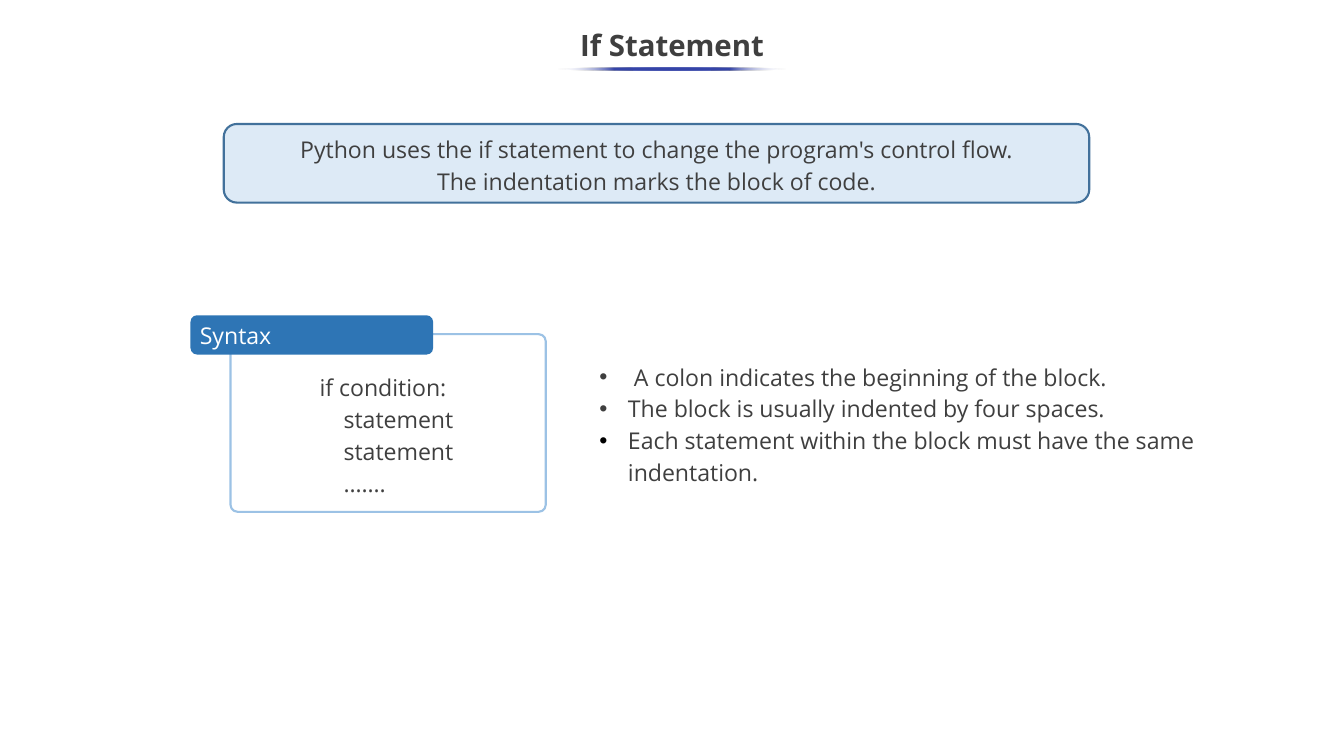
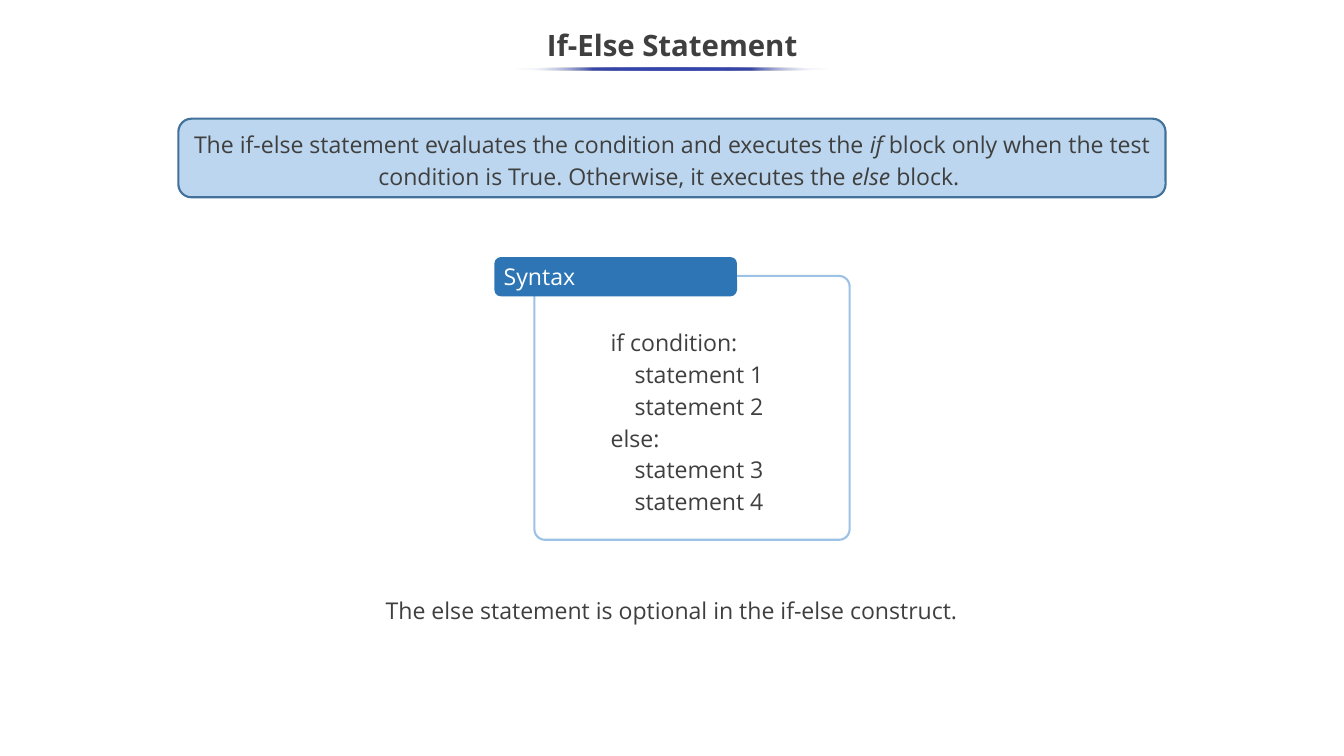
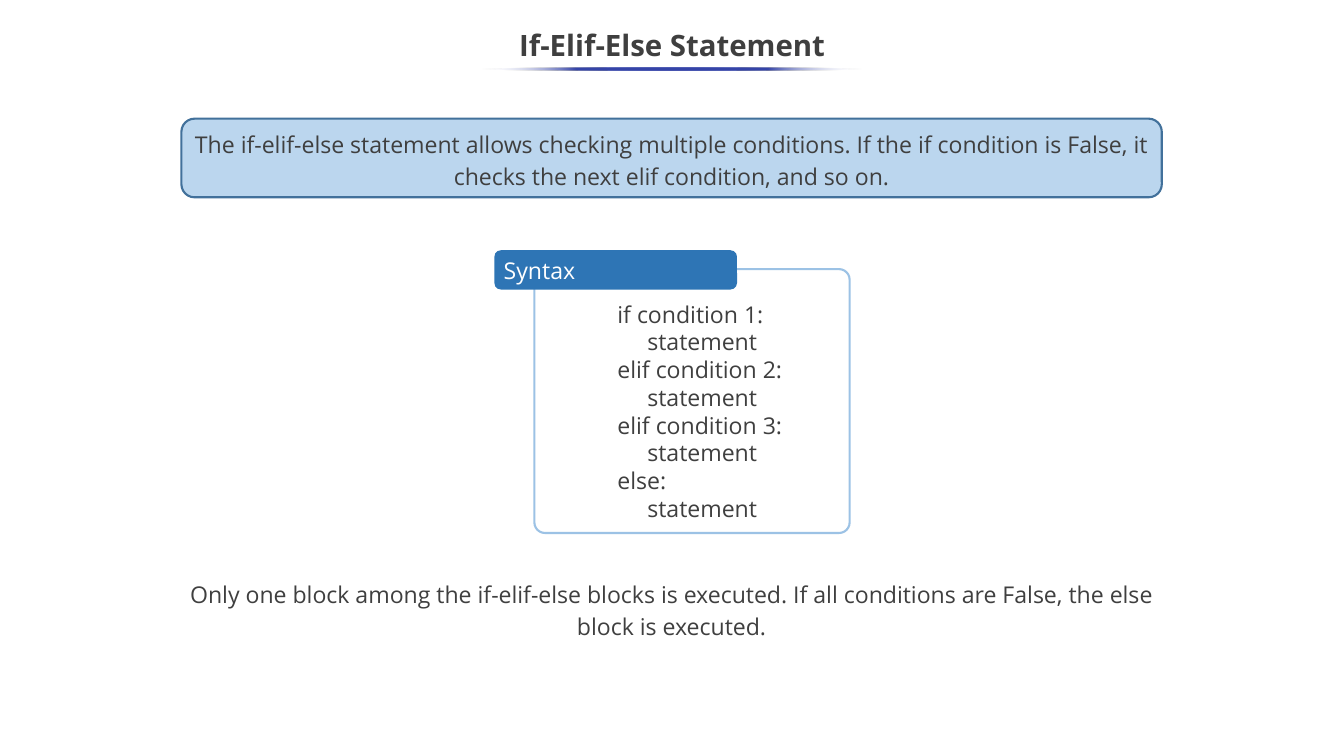
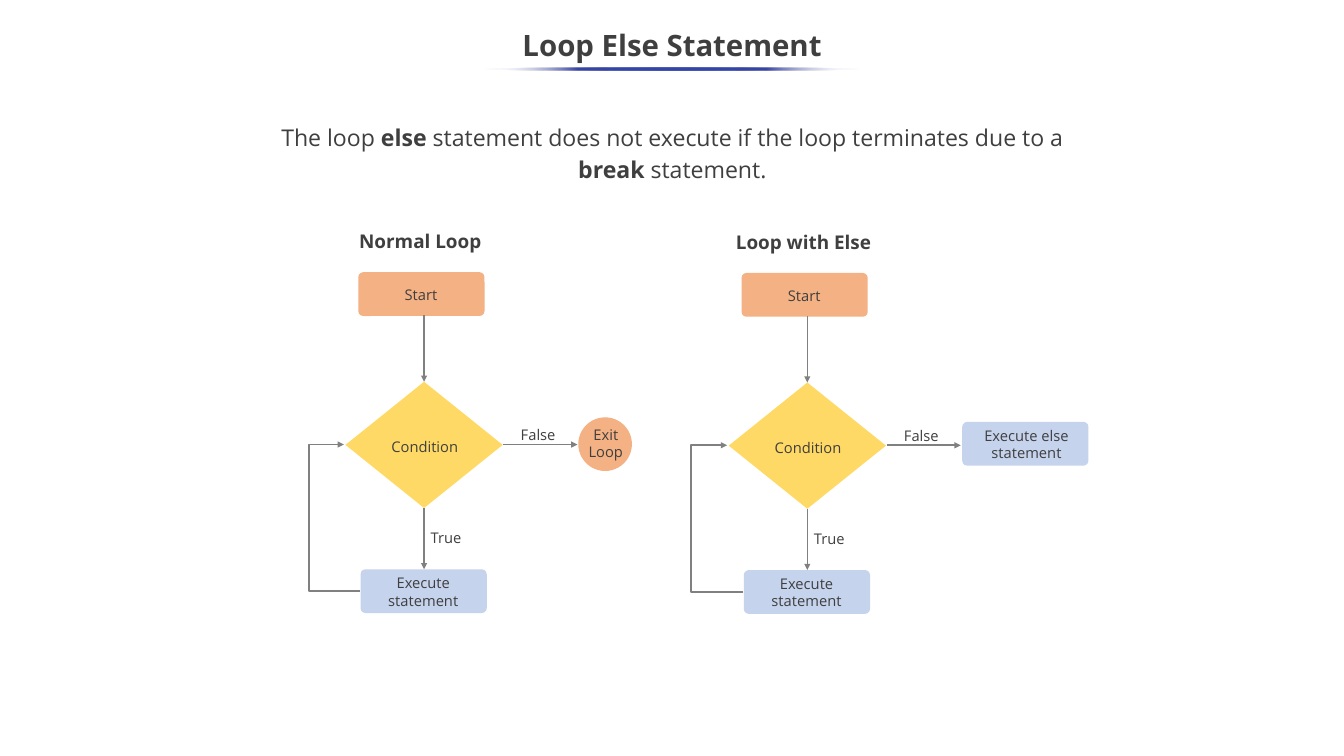
from pptx import Presentation, oxml
from pptx.dml.color import RGBColor as Rgb
from pptx.enum import shapes, text
from pptx.oxml import ns
from pptx.util import Inches, Pt

FONT = "Open Sans"
HUE = {"ink": "3F3F3F", "white": "FFFFFF", "black": "000000", "pale": "DDEAF6",
       "sky": "BBD6EE", "edge": "42719B", "frame": "9CC2E5", "tab": "2E75B5",
       "rule": "3645A9", "gold": "FFD966", "peach": "F4B183", "mist": "C5D3ED",
       "gray": "808080"}
WIDE, HIGH = 17.78, 10
ROUND = shapes.MSO_SHAPE.ROUNDED_RECTANGLE
OVAL = shapes.MSO_SHAPE.OVAL
DIAMOND = shapes.MSO_SHAPE.DIAMOND
STRAIGHT = shapes.MSO_CONNECTOR.STRAIGHT
ELBOW = shapes.MSO_CONNECTOR.ELBOW
MID = text.PP_ALIGN.CENTER
LEFT = text.PP_ALIGN.LEFT
EVEN = text.PP_ALIGN.JUSTIFY


def draw(slide, kind, box, lines=(), fill=None, edge=None, bend=None, size=22,
         hue="ink", bold=None, align=MID, space=None, dots=()):
    """Add a shape, or a text box if kind is None.

    A line is a string or a list of runs; a run is a string or (string, "b" or "i").
    dots holds one bullet colour per line.
    """
    place = [Inches(v) for v in box]
    if kind is None:
        shape = slide.shapes.add_textbox(*place)
    else:
        shape = slide.shapes.add_shape(kind, *place)
        shape.shadow.inherit = False
        if fill:
            shape.fill.solid()
            shape.fill.fore_color.rgb = Rgb.from_string(HUE[fill])
        else:
            shape.fill.background()
        if edge:
            shape.line.color.rgb = Rgb.from_string(HUE[edge])
            shape.line.width = Pt(2)
        else:
            shape.line.fill.background()
        if bend is not None:
            shape.adjustments[0] = bend
    frame = shape.text_frame
    frame.word_wrap = True
    frame.vertical_anchor = text.MSO_ANCHOR.MIDDLE if kind else text.MSO_ANCHOR.TOP
    for n, line in enumerate(lines):
        para = frame.paragraphs[0] if n == 0 else frame.add_paragraph()
        para.alignment = align
        if space:
            para.line_spacing = space
        if dots:
            props = para._p.get_or_add_pPr()
            props.set("marL", str(Inches(0.38)))
            props.set("indent", str(-Inches(0.38)))
            for mark in (f'<a:buClr {ns.nsdecls("a")}><a:srgbClr val="{HUE[dots[n]]}"/></a:buClr>',
                         f'<a:buFont {ns.nsdecls("a")} typeface="Arial"/>',
                         f'<a:buChar {ns.nsdecls("a")} char="•"/>'):
                props.append(oxml.parse_xml(mark))
        para.font.name = FONT
        para.font.size = Pt(size)
        para.font.bold = bold
        para.font.color.rgb = Rgb.from_string(HUE[hue])
        for part in [line] if isinstance(line, str) else line:
            words, style = (part, "") if isinstance(part, str) else part
            run = para.add_run()
            run.text = words
            if style == "b":
                run.font.bold = True
            elif style == "i":
                run.font.italic = True
    return shape


def arrow(slide, kind, start, end, turn=None):
    """Add a grey arrow; turn is the x where an elbow runs upright."""
    link = slide.shapes.add_connector(kind, *[Inches(v) for v in (*start, *end)])
    link.line.color.rgb = Rgb.from_string(HUE["gray"])
    link.line.width = Pt(1.5)
    link.line._get_or_add_ln().append(
        oxml.parse_xml(f'<a:tailEnd {ns.nsdecls("a")} type="triangle"/>'))
    props = link._element.spPr
    props.append(oxml.parse_xml(f'<a:effectLst {ns.nsdecls("a")}/>'))
    if turn is not None:
        ratio = round((turn - start[0]) / (end[0] - start[0]) * 100000)
        props.find(ns.qn("a:prstGeom")).get_or_add_avLst().append(
            oxml.parse_xml(f'<a:gd {ns.nsdecls("a")} name="adj1" fmla="val {ratio}"/>'))


deck = Presentation()
deck.slide_width, deck.slide_height = Inches(WIDE), Inches(HIGH)

# Titles, each over a rule that fades out at both ends
stops = "".join(
    f'<a:gs pos="{at}000"><a:srgbClr val="{HUE[hue]}">{clear}</a:srgbClr></a:gs>'
    for at, hue, clear in [(0, "white", '<a:alpha val="0"/>'), (25, "rule", ""), (50, "rule", ""),
                           (75, "rule", ""), (100, "white", '<a:alpha val="0"/>')])
fade = (f'<a:gradFill {ns.nsdecls("a")}><a:gsLst>{stops}</a:gsLst>'
        '<a:lin ang="10800000" scaled="0"/></a:gradFill>')
pages = []
for name, span in [("If Statement", 3.04), ("If-Else Statement", 4.14),
                   ("If-Elif-Else Statement", 5.05), ("Loop Else Statement", 4.95)]:
    page = deck.slides.add_slide(deck.slide_layouts[6])
    head = draw(page, None, (0, 0.25, WIDE, 0.75), [name], size=28, bold=True, space=0.9)
    head.text_frame.vertical_anchor = text.MSO_ANCHOR.MIDDLE
    rule = draw(page, OVAL, ((WIDE - span) / 2, 0.89, span, 0.04))
    props = rule._element.spPr
    props.replace(props.find(ns.qn("a:noFill")), oxml.parse_xml(fade))
    pages.append(page)

# Summary boxes of the three if slides
for page, box, fill, lines in [
    (pages[0], (2.96, 1.64, 11.45, 1.04), "pale",
     ["Python uses the if statement to change the program's control flow.",
      "The indentation marks the block of code."]),
    (pages[1], (2.36, 1.57, 13.06, 1.04), "sky",
     [["The if-else statement evaluates the condition and executes the", (" if ", "i"),
       "block only when the test condition is True. Otherwise, it executes the ",
       ("else", "i"), " block.\u00a0"]]),
    (pages[2], (2.4, 1.57, 12.97, 1.04), "sky",
     ["The if-elif-else statement allows checking multiple conditions. If the if condition "
      "is False, it checks the next elif condition, and so on."]),
]:
    draw(page, ROUND, box, lines, fill, "edge", space=1.15)

# Syntax panels: frame, tab and code
for page, x, y, tall, spot, space, code in [
    (pages[0], 3.05, 4.42, 2.35, (4.13, 4.84, 2.35, 1.78), 1.15,
     ["if condition:", "    statement", "    statement", "    ……."]),
    (pages[1], 7.07, 3.65, 3.49, (7.98, 4.24, 2.63, 2.66), 1.15,
     ["if condition:", "    statement 1", "    statement 2",
      "else:", "    statement 3", "    statement 4"]),
    (pages[2], 7.07, 3.56, 3.49, (8.07, 3.92, 2.63, 3.05), None,
     ["if condition 1:", "     statement", "elif condition 2:", "     statement",
      "elif condition 3:", "     statement", "else:", "     statement"]),
]:
    draw(page, ROUND, (x, y, 4.17, tall), edge="frame", bend=0.04)
    draw(page, ROUND, (x - 0.53, y - 0.25, 3.21, 0.52), ["Syntax"], "tab",
         hue="white", align=LEFT)
    draw(page, None, spot, code, align=LEFT, space=space)

# Remarks beside or below the panels
rules = draw(pages[0], ROUND, (7.75, 4.77, 9.37, 1.64),
             [" A colon indicates the beginning of the block.",
              "The block is usually indented by four spaces.",
              "Each statement within the block must have the same indentation."],
             "white", align=EVEN, space=1.15, dots=("ink", "ink", "black"))
rules.text_frame.paragraphs[2].alignment = LEFT
draw(pages[1], ROUND, (3.77, 7.47, 10.23, 1.15),
     ["The else statement is optional in the if-else construct."], "white", space=1.15)
draw(pages[2], ROUND, (2.13, 7.47, 13.51, 1.15),
     ["Only one block among the if-elif-else blocks is executed. If all conditions are "
      "False, the else block is executed."], "white", space=1.15)

# Loop flowcharts, the second set to the right of the first
page = pages[3]
draw(page, ROUND, (3.11, 1.52, 11.57, 0.96),
     [["The loop ", ("else", "b"),
       " statement does not execute if the loop terminates due to a ",
       ("break", "b"), " statement."]], space=1.15)
for name, x, y, turn in [("Normal Loop", 0, 0, 4.09), ("Loop with Else", 5.07, 0.01, 9.14)]:
    draw(page, None, (x + 3.71, y + 2.99, 3.7, 0.4), [name], size=18, bold=True)
    for kind, box, fill, bend in [
        (ROUND, (4.74, 3.6, 1.67, 0.58), "peach", 0.115),
        (DIAMOND, (4.57, 5.05, 2.08, 1.67), "gold", None),
        (ROUND, (4.77, 7.53, 1.67, 0.58), "mist", 0.115),
    ]:
        draw(page, kind, (x + box[0], y + box[1], *box[2:]), fill=fill, bend=bend)
    for start, end in [((5.61, 4.17), (5.61, 5.05)), ((5.61, 6.72), (5.61, 7.53)),
                       ((6.66, 5.88), (7.64, 5.88))]:
        arrow(page, STRAIGHT, (x + start[0], y + start[1]), (x + end[0], y + end[1]))
    arrow(page, ELBOW, (x + 4.76, y + 7.82), (x + 4.55, y + 5.88), turn)
    for label, box, align in [
        ("Start", (4.84, 3.73, 1.46, 0.34), MID),
        ("Condition", (5.05, 5.74, 1.14, 0.34), MID),
        ("Execute statement", (4.66, 7.54, 1.88, 0.57), MID),
        ("False", (6.79, 5.58, 0.71, 0.34), LEFT),
        ("True", (5.6, 6.95, 0.7, 0.34), LEFT),
    ]:
        draw(page, None, (x + box[0], y + box[1], *box[2:]), [label], size=14, align=align)

# Where each loop leads when the condition is false
draw(page, OVAL, (7.65, 5.52, 0.71, 0.71), fill="peach")
draw(page, None, (7.66, 5.58, 0.71, 0.57), ["Exit", "Loop"], size=14)
draw(page, ROUND, (12.73, 5.58, 1.67, 0.58), fill="mist", bend=0.115)
draw(page, None, (12.64, 5.59, 1.88, 0.57), ["Execute else statement"], size=14)

deck.save("out.pptx")
